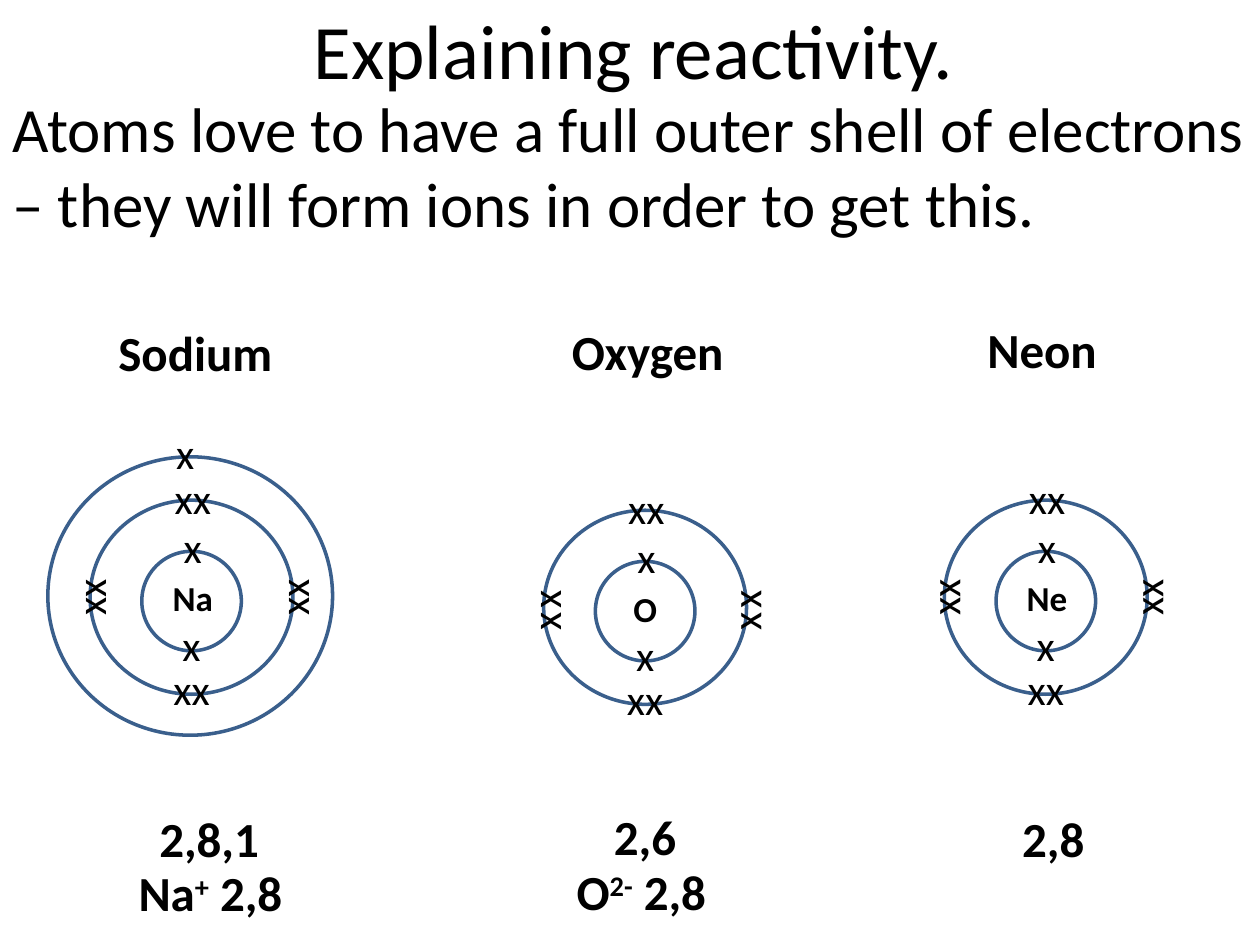
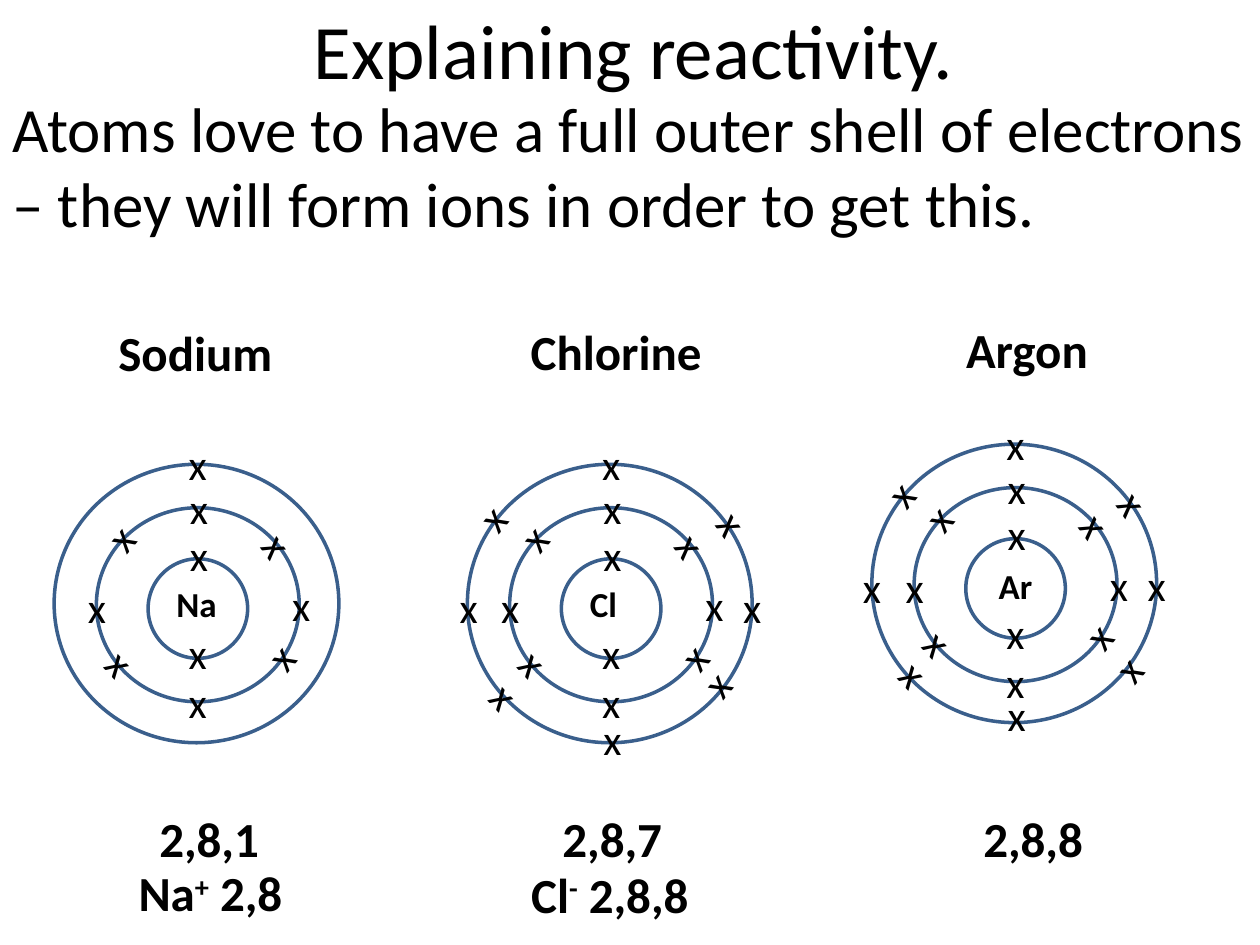
from dataclasses import dataclass
from typing import NamedTuple, Optional

from pptx import Presentation
from pptx.dml.color import RGBColor
from pptx.enum.shapes import MSO_SHAPE as Preset
from pptx.enum.text import MSO_ANCHOR as Anchor, MSO_AUTO_SIZE as AutoSize, PP_ALIGN as Align
from pptx.util import Emu, Pt

EMU_PER_PX = 9144  # 100 px to the inch


@dataclass(frozen=True)
class Theme:
    font: str = "Calibri"
    ink: RGBColor = RGBColor(0x00, 0x00, 0x00)
    shell: RGBColor = RGBColor(0x3A, 0x5F, 0x8C)
    shell_width: int = 2
    title: int = 44
    statement: int = 36
    caption: int = 28
    electron: int = 24
    symbol: int = 20


THEME = Theme()
TITLE = "Explaining reactivity."
STATEMENT = ("Atoms love to have a full outer shell of electrons "
             "– they will form ions in order to get this.")


class Shell(NamedTuple):
    """A ring, its centre given relative to the nucleus."""
    dx: int
    dy: int
    width: int
    height: int


class Electron(NamedTuple):
    """A cross or a pair of crosses, placed relative to the nucleus."""
    dx: int
    dy: int
    turn: float = 0
    mark: str = "x"


class Caption(NamedTuple):
    """A bold line; the second of its pieces, if any, is superscript."""
    pieces: tuple[str, ...]
    center: int
    top: int
    width: int


@dataclass(frozen=True)
class Atom:
    symbol: str
    x: int
    y: int
    shell_count: int
    electrons: tuple[Electron, ...]
    name: Caption
    arrangement: Caption
    ion: Optional[Caption] = None
    symbol_dx: int = 0
    symbol_dy: int = -2


SHELLS = (Shell(0, 0, 79, 79), Shell(0, -3, 161, 154), Shell(-1, -4, 226, 221))
MARK_WIDTHS = {"x": 35, "xx": 49}
MARK_HEIGHT = 50
SYMBOL_WIDTH, SYMBOL_HEIGHT = 52, 44
CAPTION_HEIGHT = 57

# Turns of the crosses on the diagonals
NE, SE, SW, NW = 54.4, 309.6, 47.1, 309.8

INNER = (Electron(1, -43), Electron(0, 35))
TOP_AND_BOTTOM_PAIRS = (Electron(1, -82, mark="xx"), Electron(0, 70, mark="xx"))
FOUR_PAIRS = TOP_AND_BOTTOM_PAIRS + (Electron(80, -3, 270, "xx"), Electron(-81, -3, 270, "xx"))
OXYGEN_OUTER = TOP_AND_BOTTOM_PAIRS + tuple(
    Electron(dx, dy, 270) for dx in (-80, 79) for dy in (-9, 8))
SPREAD_EIGHT = (
    Electron(1, -80), Electron(64, -50, NE), Electron(82, -3), Electron(65, 38, SE),
    Electron(0, 74), Electron(-61, 43, SW), Electron(-80, -1), Electron(-62, -56, NW))
CHLORINE_OUTER = (
    Electron(0, -115), Electron(97, -68, NE), Electron(112, -1), Electron(83, 60, SE),
    Electron(1, 103), Electron(-84, 69, SW), Electron(-113, -1), Electron(-95, -72, NW))
ARGON_OUTER = (
    Electron(0, -115), Electron(94, -68, NE), Electron(112, -3), Electron(89, 64, SE),
    Electron(1, 100), Electron(-80, 68, SW), Electron(-114, -1), Electron(-92, -75, NW))

SODIUM_NAME = Caption(("Sodium",), 155, 251, 143)
SODIUM_ARRANGEMENT = Caption(("2,8,1",), 166, 637, 100)
SODIUM_ION = Caption(("Na", "+", " 2,8"), 167, 680, 138)

SLIDES = (
    (
        Atom("Na", 152, 477, 3, INNER + FOUR_PAIRS + (Electron(-5, -118),),
             SODIUM_NAME, SODIUM_ARRANGEMENT, SODIUM_ION, symbol_dx=1),
        Atom("O", 512, 485, 2, INNER + OXYGEN_OUTER,
             Caption(("Oxygen",), 514, 250, 142),
             Caption(("2,6",), 512, 635, 70),
             Caption(("O", "2-", " 2,8"), 509, 679, 127)),
        Atom("Ne", 830, 477, 2, INNER + FOUR_PAIRS,
             Caption(("Neon",), 827, 249, 108),
             Caption(("2,8",), 836, 637, 70), symbol_dx=1),
    ),
    (
        Atom("Na", 157, 483, 3, INNER + SPREAD_EIGHT + (Electron(0, -115),),
             SODIUM_NAME, SODIUM_ARRANGEMENT, SODIUM_ION, symbol_dx=-1, symbol_dy=-4),
        Atom("Cl", 485, 483, 3, INNER + SPREAD_EIGHT + CHLORINE_OUTER,
             Caption(("Chlorine",), 489, 250, 157),
             Caption(("2,8,7",), 486, 637, 100),
             Caption(("Cl", "-", " 2,8,8"), 484, 681, 148), symbol_dx=-6, symbol_dy=-4),
        Atom("Ar", 806, 467, 3, INNER + SPREAD_EIGHT + ARGON_OUTER,
             Caption(("Argon",), 815, 249, 118),
             Caption(("2,8,8",), 820, 637, 100)),
    ),
)


def px(length: float) -> Emu:
    return Emu(round(length * EMU_PER_PX))


def box_around(x: float, y: float, width: int, height: int) -> tuple[Emu, ...]:
    """Left, top, width and height of a box centred on a point."""
    return px(x - width / 2), px(y - height / 2), px(width), px(height)


def style(run, size: int, bold: bool = False) -> None:
    run.font.name = THEME.font
    run.font.size = Pt(size)
    run.font.bold = bold
    run.font.color.rgb = THEME.ink


def add_line(slide, pieces: tuple[str, ...], box: tuple[Emu, ...], size: int,
             bold: bool = False, turn: float = 0) -> None:
    """One centred, unwrapped line of text."""
    holder = slide.shapes.add_textbox(*box)
    holder.rotation = turn
    frame = holder.text_frame
    frame.word_wrap = False
    frame.auto_size = AutoSize.SHAPE_TO_FIT_TEXT
    line = frame.paragraphs[0]
    line.alignment = Align.CENTER
    for index, piece in enumerate(pieces):
        run = line.add_run()
        run.text = piece
        style(run, size, bold)
        if index == 1:
            run._r.get_or_add_rPr().set("baseline", "30000")


def add_caption(slide, caption: Caption) -> None:
    box = (px(caption.center - caption.width / 2), px(caption.top),
           px(caption.width), px(CAPTION_HEIGHT))
    add_line(slide, caption.pieces, box, THEME.caption, bold=True)


def add_shell(slide, atom: Atom, shell: Shell) -> None:
    ring = slide.shapes.add_shape(Preset.OVAL, *box_around(
        atom.x + shell.dx, atom.y + shell.dy, shell.width, shell.height))
    ring.shadow.inherit = False
    ring.fill.background()
    ring.line.color.rgb = THEME.shell
    ring.line.width = Pt(THEME.shell_width)


def add_atom(slide, atom: Atom) -> None:
    for shell in SHELLS[:atom.shell_count]:
        add_shell(slide, atom, shell)
    for electron in atom.electrons:
        box = box_around(atom.x + electron.dx, atom.y + electron.dy,
                         MARK_WIDTHS[electron.mark], MARK_HEIGHT)
        add_line(slide, (electron.mark,), box, THEME.electron, turn=electron.turn)
    symbol_box = box_around(atom.x + atom.symbol_dx, atom.y + atom.symbol_dy,
                            SYMBOL_WIDTH, SYMBOL_HEIGHT)
    add_line(slide, (atom.symbol,), symbol_box, THEME.symbol, bold=True)
    for caption in (atom.name, atom.arrangement, atom.ion):
        if caption:
            add_caption(slide, caption)


def add_heading(slide) -> None:
    """The title and the statement below it."""
    title = slide.shapes.title
    title.left, title.top, title.width, title.height = px(54), px(-42), px(898), px(161)
    title.text_frame.text = TITLE
    title.text_frame.vertical_anchor = Anchor.MIDDLE
    title.text_frame.paragraphs[0].alignment = Align.CENTER
    style(title.text_frame.paragraphs[0].runs[0], THEME.title)

    statement = slide.shapes.add_textbox(px(0), px(66), px(1000), px(131)).text_frame
    statement.word_wrap = True
    statement.auto_size = AutoSize.SHAPE_TO_FIT_TEXT
    statement.text = STATEMENT
    style(statement.paragraphs[0].runs[0], THEME.statement)


def main() -> None:
    deck = Presentation()
    deck.slide_width, deck.slide_height = px(1000), px(750)
    title_only = deck.slide_layouts[5]
    for atoms in SLIDES:
        slide = deck.slides.add_slide(title_only)
        add_heading(slide)
        for atom in atoms:
            add_atom(slide, atom)
    deck.save("out.pptx")


if __name__ == "__main__":
    main()
